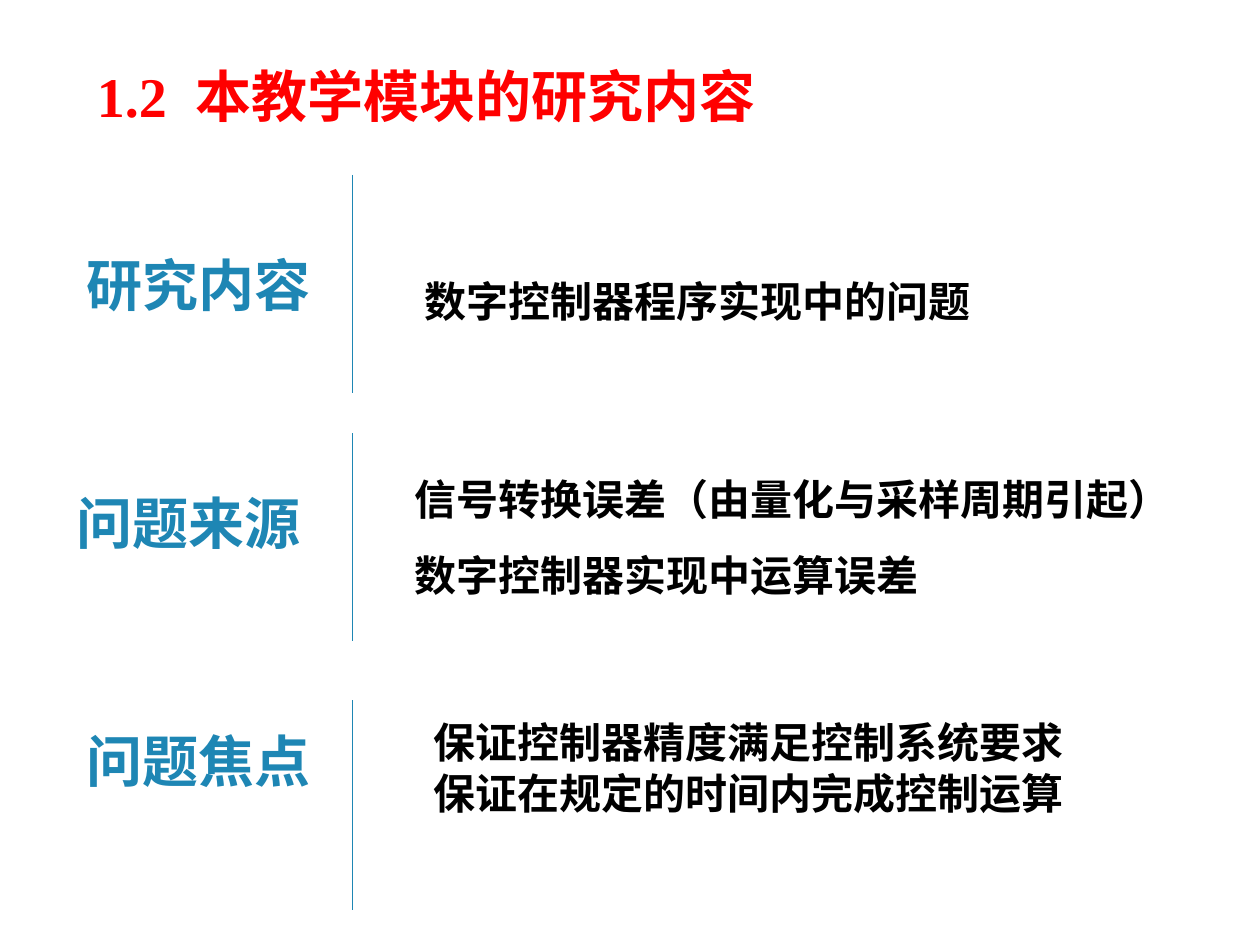
import pptx
import pptx.dml.color
import pptx.enum.shapes
import pptx.enum.text
import pptx.oxml.ns
import pptx.util
from lxml import etree

Pt = pptx.util.Pt
COLORS = {"title": "FF0000", "accent": "1E86B4", "text": "000000"}
SERIF, SANS = "Times New Roman", "Arial"
DIVIDER_X = 201.6

# label, label font, label box, divider top and bottom, body box, line spacing, body lines
SECTIONS = [
    ("研究内容", SERIF, (42.5, 139.7, 159, 46), (100, 224.6),
     (235.4, 139.7, 329, 93.6), 1.5, ["数字控制器程序实现中的问题"]),
    ("问题来源", SANS, (36.7, 275.8, 164, 46), (247.7, 366.5),
     (229.7, 252.7, 465, 93.6), 1.5,
     ["信号转换误差（由量化与采样周期引起）", "数字控制器实现中运算误差"]),
    ("问题焦点", SANS, (42.5, 411.8, 170, 46), (400.3, 519.8),
     (240.5, 406.1, 443, 64.8), 1.0,
     ["保证控制器精度满足控制系统要求", "保证在规定的时间内完成控制运算"]),
]


def format_run(r, size, color, font):
    r.font.size = Pt(size)
    r.font.bold = True
    r.font.name = font
    r.font.color.rgb = pptx.dml.color.RGBColor.from_string(COLORS[color])


def fill_text(sp, box, lines, size, color, font, spacing=1.0):
    """Place a text box or placeholder and write plain, unbulleted lines in it."""
    sp.left, sp.top, sp.width, sp.height = (Pt(v) for v in box)
    tf = sp.text_frame
    tf.text = "\n".join(lines)
    tf.word_wrap = True
    tf.auto_size = pptx.enum.text.MSO_AUTO_SIZE.NONE
    tf.vertical_anchor = pptx.enum.text.MSO_ANCHOR.TOP
    for p in tf.paragraphs:
        p.alignment = pptx.enum.text.PP_ALIGN.LEFT
        p.line_spacing = spacing
        p.space_before = Pt(0)
        pPr = p._p.get_or_add_pPr()
        pPr.set("marL", "0")
        pPr.set("indent", "0")
        etree.SubElement(pPr, pptx.oxml.ns.qn("a:buNone"))
        for r in p.runs:
            format_run(r, size, color, font)


def add_title(slide, number, heading):
    sp = slide.shapes.title
    fill_text(sp, (48.2, 31.7, 618, 46), [number], 32, "title", SERIF)
    p = sp.text_frame.paragraphs[0]
    for text in (" ", heading):
        r = p.add_run()
        r.text = text
        format_run(r, 32, "title", SERIF)
    # Widen the gap after the number by 8 pt of character spacing
    p.runs[1].font._element.set("spc", "800")


def add_divider(slide, top, bottom):
    line = slide.shapes.add_connector(
        pptx.enum.shapes.MSO_CONNECTOR.STRAIGHT,
        Pt(DIVIDER_X), Pt(top), Pt(DIVIDER_X), Pt(bottom))
    line.line.width = Pt(0.75)
    line.line.color.rgb = pptx.dml.color.RGBColor.from_string(COLORS["accent"])
    etree.SubElement(line._element.spPr, pptx.oxml.ns.qn("a:effectLst"))


def add_textbox(slide):
    return slide.shapes.add_textbox(0, 0, 0, 0)


def main():
    prs = pptx.Presentation()
    prs.slide_width, prs.slide_height = Pt(720), Pt(540)
    slide = prs.slides.add_slide(prs.slide_layouts.get_by_name("Two Content"))
    add_title(slide, "1.2", "本教学模块的研究内容")

    lists = [ph for ph in slide.placeholders if ph.placeholder_format.idx > 0]
    for label, font, label_box, ends, body_box, spacing, lines in SECTIONS:
        fill_text(add_textbox(slide), label_box, [label], 32, "accent", font)
        add_divider(slide, *ends)
        body = lists.pop(0) if len(lines) > 1 else add_textbox(slide)
        fill_text(body, body_box, lines, 24, "text", SERIF, spacing)

    prs.save("out.pptx")


if __name__ == "__main__":
    main()
